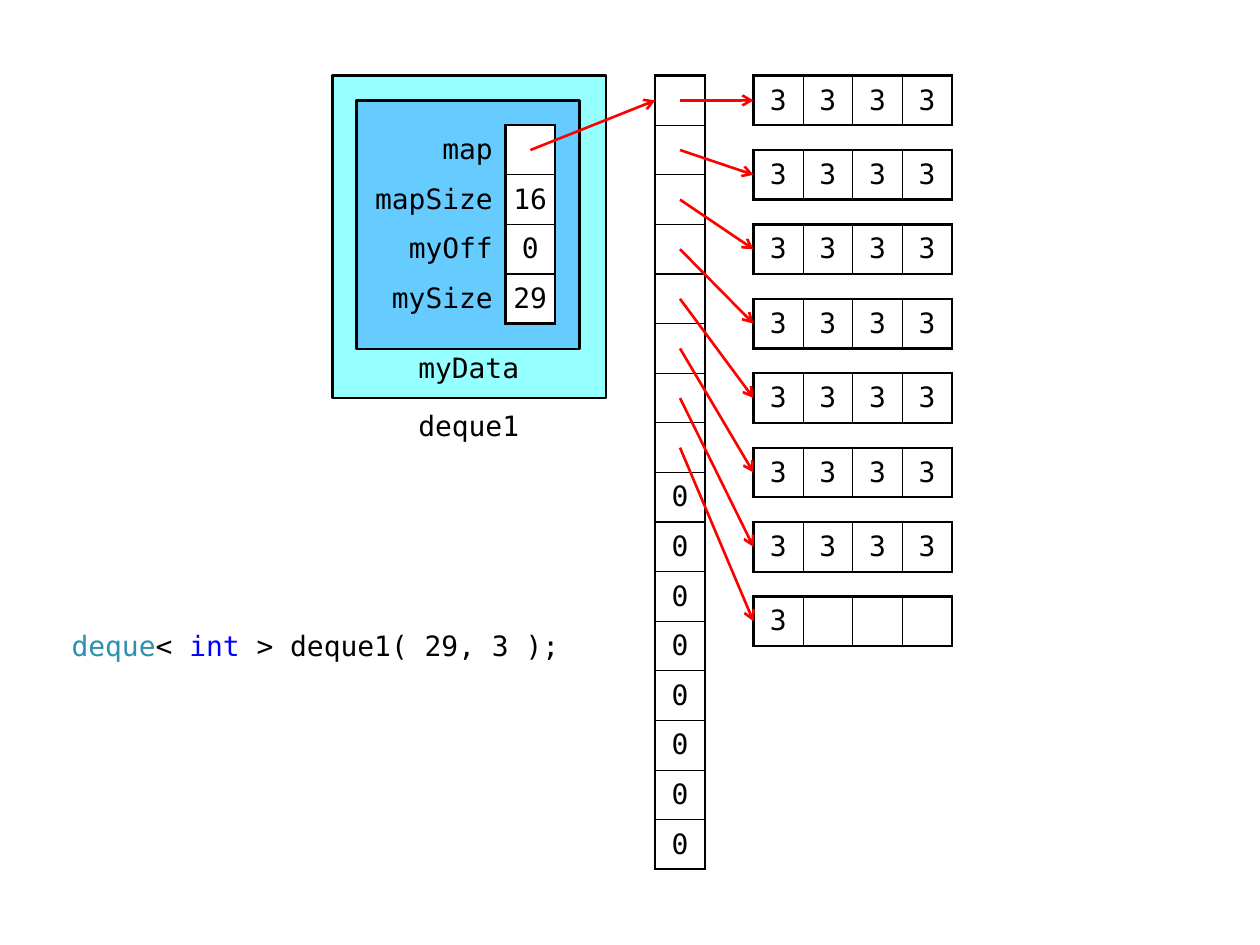
from dataclasses import dataclass

from lxml.etree import SubElement
from pptx import Presentation
from pptx.dml.color import RGBColor
from pptx.enum.shapes import MSO_CONNECTOR as Connector, MSO_SHAPE as Shape
from pptx.enum.text import MSO_ANCHOR as Anchor, PP_ALIGN as Align
from pptx.oxml import parse_xml
from pptx.oxml.ns import nsdecls, qn
from pptx.util import Inches, Pt


@dataclass(frozen=True)
class Theme:
    """Colours, type and line widths of the diagram."""
    ink: str = "000000"
    paper: str = "FFFFFF"
    outer: str = "96FFFF"
    inner: str = "66CCFF"
    pointer: str = "FF0000"
    type_name: str = "2B91AF"
    keyword: str = "0000FF"
    font: str = "DejaVu Sans Mono"
    size: float = 16
    thick: float = 1.5
    thin: float = 0.75


THEME = Theme()
TOP = 0.6
CELL = 6.3 / 16
MAP_LEFT = 5.2
CHUNK_LEFT = 5.98
MEMBERS = [("map", ""), ("mapSize", "16"), ("myOff", "0"), ("mySize", "29")]
MEMBERS_LEFT = 2.83
MAP_SIZE = 16
CHUNK_SIZE = 4
ELEMENTS = ["3"] * 29


def add_span(para, text, colour=THEME.ink):
    """Add one run in the diagram's font."""
    span = para.add_run()
    span.text = text
    span.font.name = THEME.font
    span.font.size = Pt(THEME.size)
    span.font.color.rgb = RGBColor.from_string(colour)


def add_text(page, place, spans, align=Align.CENTER, inset=0.08):
    """Add a text box holding one line of (text, colour) spans."""
    box = page.shapes.add_textbox(*map(Inches, place))
    frame = box.text_frame
    frame.word_wrap = True
    frame.vertical_anchor = Anchor.MIDDLE
    frame.margin_left = frame.margin_right = Inches(inset)
    frame.margin_top = Inches(0.04)
    frame.margin_bottom = 0
    para = frame.paragraphs[0]
    para.alignment = align
    for text, colour in spans:
        add_span(para, text, colour)


def add_panel(page, place, colour):
    """Add an outlined, filled rectangle."""
    panel = page.shapes.add_shape(Shape.FLOWCHART_PROCESS, *map(Inches, place))
    panel.shadow.inherit = False
    panel.fill.solid()
    panel.fill.fore_color.rgb = RGBColor.from_string(colour)
    panel.line.color.rgb = RGBColor.from_string(THEME.ink)
    panel.line.width = Pt(THEME.thick)


def add_arrow(page, start, end):
    """Add a pointer arrow between two points."""
    arrow = page.shapes.add_connector(
        Connector.STRAIGHT, *map(Inches, (*start, *end)))
    arrow.line.color.rgb = RGBColor.from_string(THEME.pointer)
    arrow.line.width = Pt(THEME.thick)
    SubElement(arrow.line._get_or_add_ln(), qn("a:tailEnd"), type="arrow")
    SubElement(arrow._element.spPr, qn("a:effectLst"))


def set_borders(cell, widths):
    """Set left, right, top and bottom borders; None hides one."""
    props = cell._tc.get_or_add_tcPr()
    for place, (side, width) in enumerate(zip("LRTB", widths)):
        paint = "<a:noFill/>"
        if width:
            paint = f'<a:solidFill><a:srgbClr val="{THEME.ink}"/></a:solidFill>'
        props.insert(place, parse_xml(
            f'<a:ln{side} {nsdecls("a")} w="{Pt(width or 0)}">{paint}</a:ln{side}>'))


def fill_cell(cell, text, align, inset, colour):
    """Write a cell's text and set its fill."""
    cell.vertical_anchor = Anchor.MIDDLE
    cell.margin_left = cell.margin_right = Inches(inset)
    cell.margin_top = cell.margin_bottom = Inches(0.04)
    if colour:
        cell.fill.solid()
        cell.fill.fore_color.rgb = RGBColor.from_string(colour)
    else:
        cell.fill.background()
    para = cell.text_frame.paragraphs[0]
    para.alignment = align
    if text:
        add_span(para, text)


def add_grid(page, left, top, rows, labels=0, colour=None):
    """Add a boxed grid; the first `labels` columns are wide and unboxed."""
    widths = [CELL * (3 if c < labels else 1) for c in range(len(rows[0]))]
    frame = page.shapes.add_table(
        len(rows), len(widths), Inches(left), Inches(top),
        Inches(sum(widths)), Inches(CELL * len(rows)))
    table = frame.table
    table.first_row = table.horz_banding = False
    for column, width in zip(table.columns, widths):
        column.width = Inches(width)
    for r, row in enumerate(rows):
        table.rows[r].height = Inches(CELL)
        for c, text in enumerate(row):
            cell = table.cell(r, c)
            if c < labels:
                fill_cell(cell, text, Align.RIGHT, 0.1, None)
                right = THEME.thick if c == labels - 1 else None
                set_borders(cell, (None, right, None, None))
                continue
            fill_cell(cell, text, Align.CENTER, 0.04, colour)
            outer = (c == labels, c == len(row) - 1, r == 0, r == len(rows) - 1)
            set_borders(cell, [THEME.thick if o else THEME.thin for o in outer])


def add_deque(page):
    """Draw the deque object with its members."""
    add_panel(page, (2.64, TOP, 2.17, 2.56), THEME.outer)
    add_panel(page, (MEMBERS_LEFT, 0.8, 1.77, 1.97), THEME.inner)
    add_text(page, (3.03, 3.16, 1.38, 0.39), [("deque1", THEME.ink)])
    add_text(page, (3.23, 2.7, 0.98, 0.39), [("myData", THEME.ink)])
    add_grid(page, MEMBERS_LEFT, TOP + CELL, MEMBERS, 1, THEME.paper)


def add_chunks(page):
    """Draw the map, its chunks and the pointers to them."""
    chunks = [ELEMENTS[i:i + CHUNK_SIZE]
              for i in range(0, len(ELEMENTS), CHUNK_SIZE)]
    slots = [""] * len(chunks) + ["0"] * (MAP_SIZE - len(chunks))
    add_grid(page, MAP_LEFT, TOP, [(slot,) for slot in slots])
    half = CELL / 2
    add_arrow(page, (4.21, TOP + 1.5 * CELL), (MAP_LEFT, TOP + half))
    for i, chunk in enumerate(chunks):
        chunk_top = TOP + 1.5 * CELL * i
        padded = chunk + [""] * (CHUNK_SIZE - len(chunk))
        add_grid(page, CHUNK_LEFT, chunk_top, [padded])
        add_arrow(page, (MAP_LEFT + half, TOP + CELL * i + half),
                  (CHUNK_LEFT, chunk_top + half))


def main():
    """Build and save the slide."""
    deck = Presentation()
    deck.slide_width, deck.slide_height = Inches(10), Inches(7.5)
    page = deck.slides.add_slide(deck.slide_layouts[6])
    add_text(page, (0.47, 4.91, 4.13, 0.39), [
        ("deque", THEME.type_name), ("< ", THEME.ink),
        ("int ", THEME.keyword), ("> deque1( 29, 3 );", THEME.ink),
    ], Align.LEFT, 0.1)
    add_deque(page)
    add_chunks(page)
    deck.save("out.pptx")


main()
